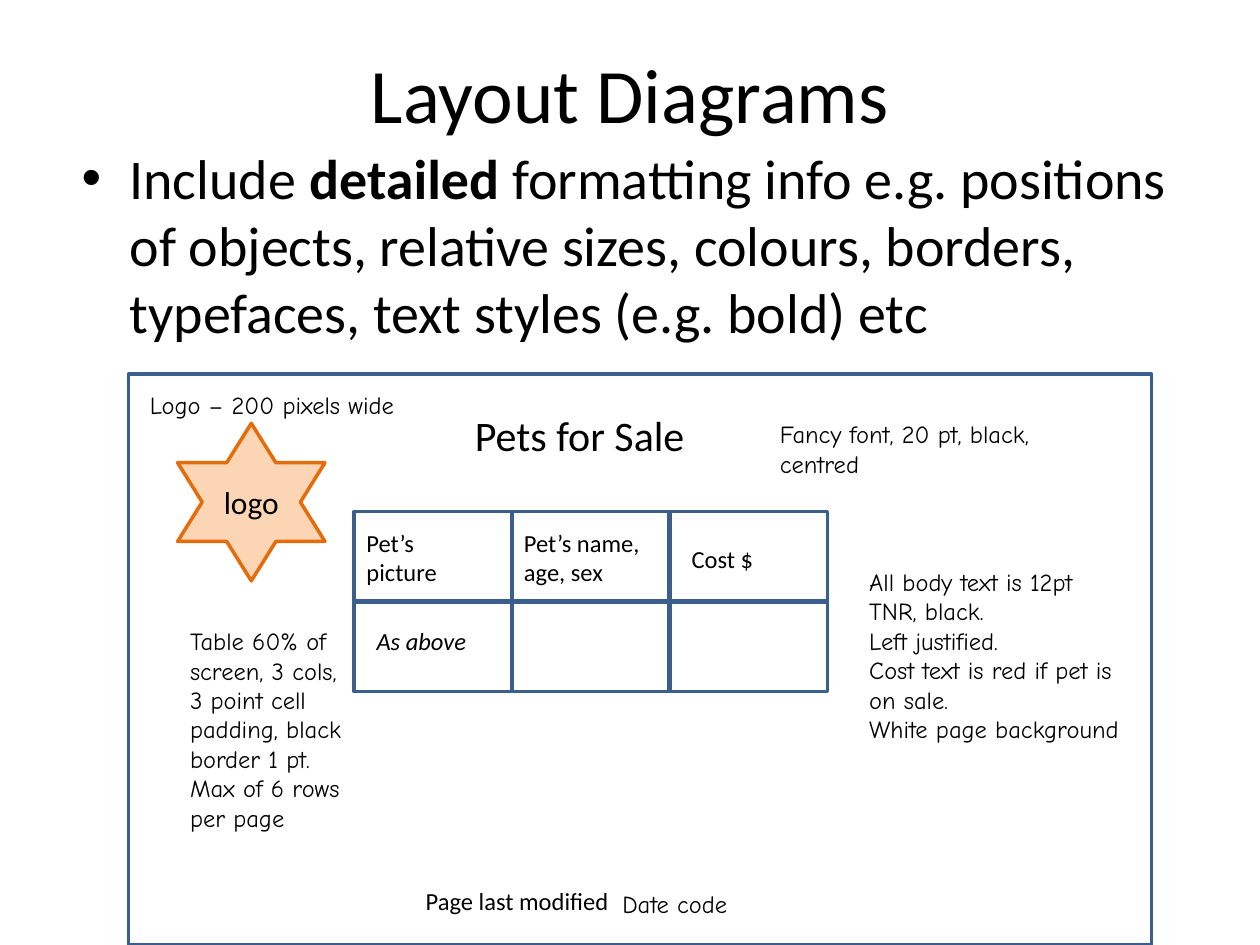
"""Build the Layout Diagrams slide with its annotated page mock-up."""
from lxml import etree
from pptx import Presentation
from pptx.dml.color import RGBColor
from pptx.enum.shapes import MSO_SHAPE
from pptx.enum.text import MSO_ANCHOR, MSO_AUTO_SIZE, PP_ALIGN
from pptx.oxml.ns import qn
from pptx.util import Inches, Pt

RECTANGLE, STAR = MSO_SHAPE.RECTANGLE, MSO_SHAPE.STAR_6_POINT
MIDDLE, TOP = MSO_ANCHOR.MIDDLE, MSO_ANCHOR.TOP
CENTER = PP_ALIGN.CENTER
FIT_SHAPE, NO_FIT = MSO_AUTO_SIZE.SHAPE_TO_FIT_TEXT, MSO_AUTO_SIZE.NONE


def color(value):
    return RGBColor.from_string(value)


class SlideBuilder:
    BODY, NOTE = "Calibri", "Comic Neue"
    INK, FRAME = "000000", "3A5F8C"
    LINE_WIDTH = 2

    def __init__(self, slide):
        self.slide = slide

    def run(self, paragraph, text, size, font=BODY, bold=False, italic=False):
        run = paragraph.add_run()
        run.text = text
        run.font.name = font
        run.font.size = Pt(size)
        run.font.bold = bold
        run.font.italic = italic
        run.font.color.rgb = color(self.INK)

    def title(self, text, box):
        title = self.slide.shapes.title
        title.left, title.top, title.width, title.height = map(Inches, box)
        frame = title.text_frame
        frame.vertical_anchor = MIDDLE
        frame.auto_size = NO_FIT
        paragraph = frame.paragraphs[0]
        paragraph.alignment = CENTER
        self.run(paragraph, text, 44)

    def text_frame(self, box):
        frame = self.slide.shapes.add_textbox(*map(Inches, box)).text_frame
        frame.word_wrap = True
        frame.vertical_anchor = TOP
        return frame

    def bullet(self, parts, box):
        paragraph = self.text_frame(box).paragraphs[0]
        properties = paragraph._p.get_or_add_pPr()
        properties.set("marL", str(Inches(0.38)))
        properties.set("indent", str(-Inches(0.38)))
        etree.SubElement(properties, qn("a:buFont")).set("typeface", "Arial")
        etree.SubElement(properties, qn("a:buChar")).set("char", "•")
        for text, bold in parts:
            self.run(paragraph, text, 32, bold=bold)

    def label(self, lines, box, size=14, font=BODY, italic=False):
        frame = self.text_frame(box)
        frame.auto_size = FIT_SHAPE
        for index, line in enumerate(lines):
            paragraph = frame.add_paragraph() if index else frame.paragraphs[0]
            self.run(paragraph, line, size, font, italic=italic)

    def note(self, lines, box):
        self.label(lines, box, font=self.NOTE)

    def shape(self, kind, box, line=FRAME, fill=None, text=None):
        shape = self.slide.shapes.add_shape(kind, *map(Inches, box))
        shape.shadow.inherit = False
        if fill:
            shape.fill.solid()
            shape.fill.fore_color.rgb = color(fill)
        else:
            shape.fill.background()
        shape.line.color.rgb = color(line)
        shape.line.width = Pt(self.LINE_WIDTH)
        if text:
            shape.text_frame.vertical_anchor = MIDDLE
            paragraph = shape.text_frame.paragraphs[0]
            paragraph.alignment = CENTER
            self.run(paragraph, text, 18)

    def grid(self, left, top, columns, rows, pitch, cell):
        for row in range(rows):
            for column in range(columns):
                corner = (left + column * pitch[0], top + row * pitch[1])
                self.shape(RECTANGLE, corner + cell)


def main():
    presentation = Presentation()
    presentation.slide_width = Inches(10)
    presentation.slide_height = Inches(7.5)
    layout = presentation.slide_layouts[5]
    page = SlideBuilder(presentation.slides.add_slide(layout))

    page.title("Layout Diagrams", (0.5, 0.3, 9, 0.87))
    page.bullet([
        ("Include ", False),
        ("detailed ", True),
        ("formatting info e.g. positions of objects, relative sizes, colours, "
         "borders, typefaces, text styles (e.g. bold) etc", False),
    ], (0.55, 1.09, 9, 1.69))

    page.shape(RECTANGLE, (1.02, 2.97, 8.12, 4.53))
    page.label(["Pets for Sale"], (3.67, 3.2, 2.73, 0.51), size=24)
    page.grid(2.81, 4.06, columns=3, rows=2, pitch=(1.25, 0.72), cell=(1.26, 0.71))
    page.label(["Pet’s name, age, sex"], (4.06, 4.14, 1.17, 0.57))
    page.label(["Pet’s picture"], (2.81, 4.14, 1.17, 0.57))
    page.label(["Cost $"], (5.39, 4.27, 1.17, 0.34))
    page.note([
        "All body text is 12pt TNR, black.",
        "Left justified.",
        "Cost text is red if pet is on sale.",
        "White page background",
    ], (6.8, 4.45, 2.19, 1.51))
    page.note(["Fancy font, 20 pt, black, centred"], (6.09, 3.28, 2.19, 0.57))
    page.note([
        "Table 60% of screen, 3 cols, 3 point cell padding, black border 1 pt.",
        "Max of 6 rows per page",
    ], (1.41, 4.92, 1.41, 1.99))
    page.note(["Date code"], (4.84, 7.01, 1.41, 0.34))
    page.label(["Page last modified"], (3.28, 6.98, 2.19, 0.34))
    page.label(["As above"], (2.89, 4.92, 1.17, 0.34), italic=True)
    page.shape(STAR, (1.41, 3.36, 1.17, 1.25), line="E46C0A", fill="FCD5B5", text="logo")
    page.note(["Logo – 200 pixels wide"], (1.09, 3.05, 2.19, 0.34))

    presentation.save("out.pptx")


if __name__ == "__main__":
    main()
